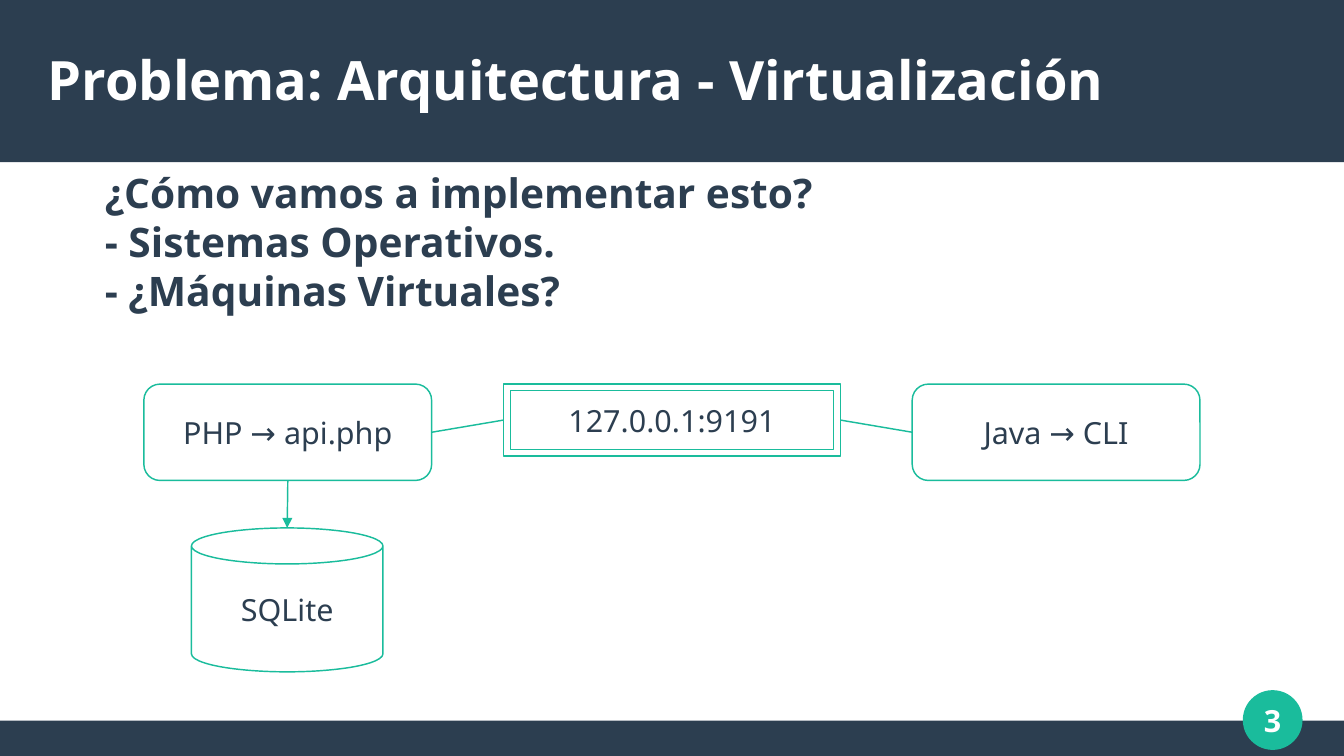
from lxml.etree import SubElement as Sub
from pptx import Presentation
from pptx.dml.color import RGBColor
from pptx.enum.shapes import MSO_CONNECTOR as Link, MSO_SHAPE as Kind
from pptx.enum.text import MSO_ANCHOR as Anchor, PP_ALIGN as Align
from pptx.oxml.ns import qn
from pptx.util import Inches, Pt

NAVY = RGBColor(0x2C, 0x3E, 0x50)
TEAL = RGBColor(0x1A, 0xBC, 0x9C)
WHITE = RGBColor(0xFF, 0xFF, 0xFF)
FONT = "Noto Sans"
WIDTH, HEIGHT = 11.02, 6.2


def write(frame, text, size, color, bold=False, align=Align.LEFT):
    para = frame.paragraphs[0]
    para.text = text
    para.alignment = align
    font = para.font
    font.name, font.size, font.bold = FONT, Pt(size), bold
    font.color.rgb = color
    return para


def add_shape(slide, kind, area, fill, line=None):
    shape = slide.shapes.add_shape(kind, *map(Inches, area))
    shape.shadow.inherit = False
    shape.fill.solid()
    shape.fill.fore_color.rgb = fill
    if line is None:
        shape.line.fill.background()
    else:
        shape.line.color.rgb = line
        shape.line.width = Pt(0.85)
    return shape


def add_node(slide, kind, area, text, adjust, wrap=False):
    node = add_shape(slide, kind, area, WHITE, TEAL)
    node.adjustments[0] = adjust
    frame = node.text_frame
    frame.word_wrap = wrap
    frame.vertical_anchor = Anchor.MIDDLE
    write(frame, text, 18, NAVY, align=Align.CENTER)
    return node


def add_text(slide, area, text, size, color, anchor=Anchor.MIDDLE, align=Align.LEFT):
    frame = slide.shapes.add_textbox(*map(Inches, area)).text_frame
    frame.word_wrap = True
    frame.vertical_anchor = anchor
    frame.margin_left = frame.margin_right = 0
    frame.margin_top = frame.margin_bottom = 0
    return write(frame, text, size, color, True, align)


def add_link(slide, start, end, arrow=False):
    link = slide.shapes.add_connector(Link.STRAIGHT, *start, *end)
    link.line.color.rgb = TEAL
    link.line.width = Pt(0.85)
    if arrow:
        Sub(link.line._get_or_add_ln(), qn("a:tailEnd"), type="triangle")
    Sub(link._element.spPr, qn("a:effectLst"))


def left(node):
    return node.left, node.top + node.height // 2


def right(node):
    return node.left + node.width, node.top + node.height // 2


def top(node):
    return node.left + node.width // 2, node.top


def bottom(node):
    return node.left + node.width // 2, node.top + node.height


def add_bands(slide):
    add_shape(slide, Kind.RECTANGLE, (0, 5.91, WIDTH, 0.29), NAVY)
    add_shape(slide, Kind.RECTANGLE, (0, 0, WIDTH, 1.33), NAVY)
    add_shape(slide, Kind.OVAL, (10.19, 5.66, 0.49, 0.49), TEAL)


def add_diagram(slide):
    store = add_node(slide, Kind.CAN, (1.57, 4.33, 1.57, 1.18), "SQLite", 0.25)
    server = add_node(slide, Kind.ROUNDED_RECTANGLE, (1.18, 3.15, 2.36, 0.79),
                      "PHP → api.php", 0.167)
    host = add_node(slide, Kind.FRAME, (4.13, 3.15, 2.76, 0.59),
                    "127.0.0.1:9191", 0.093, True)
    client = add_node(slide, Kind.ROUNDED_RECTANGLE, (7.48, 3.15, 2.36, 0.79),
                      "Java → CLI", 0.167)
    add_link(slide, left(host), right(server))
    add_link(slide, bottom(server), top(store), True)
    add_link(slide, left(client), right(host))


def main():
    deck = Presentation()
    deck.slide_width, deck.slide_height = Inches(WIDTH), Inches(HEIGHT)
    slide = deck.slides.add_slide(deck.slide_layouts[6])
    add_bands(slide)
    add_text(slide, (0.39, 0.25, 10.24, 0.79),
             "Problema: Arquitectura - Virtualización", 32, WHITE)
    body = add_text(slide, (0.39, 1.38, 10.24, 1.6),
                    "¿Cómo vamos a implementar esto?\n"
                    "- Sistemas Operativos.\n"
                    "- ¿Máquinas Virtuales?", 24, NAVY, Anchor.TOP)
    body.space_after = Pt(10.6)
    body._p.get_or_add_pPr().set("marL", str(Inches(0.47)))
    add_diagram(slide)
    add_text(slide, (10.04, 5.66, 0.79, 0.49), "3", 18, WHITE, align=Align.CENTER)
    deck.save("out.pptx")


if __name__ == "__main__":
    main()
